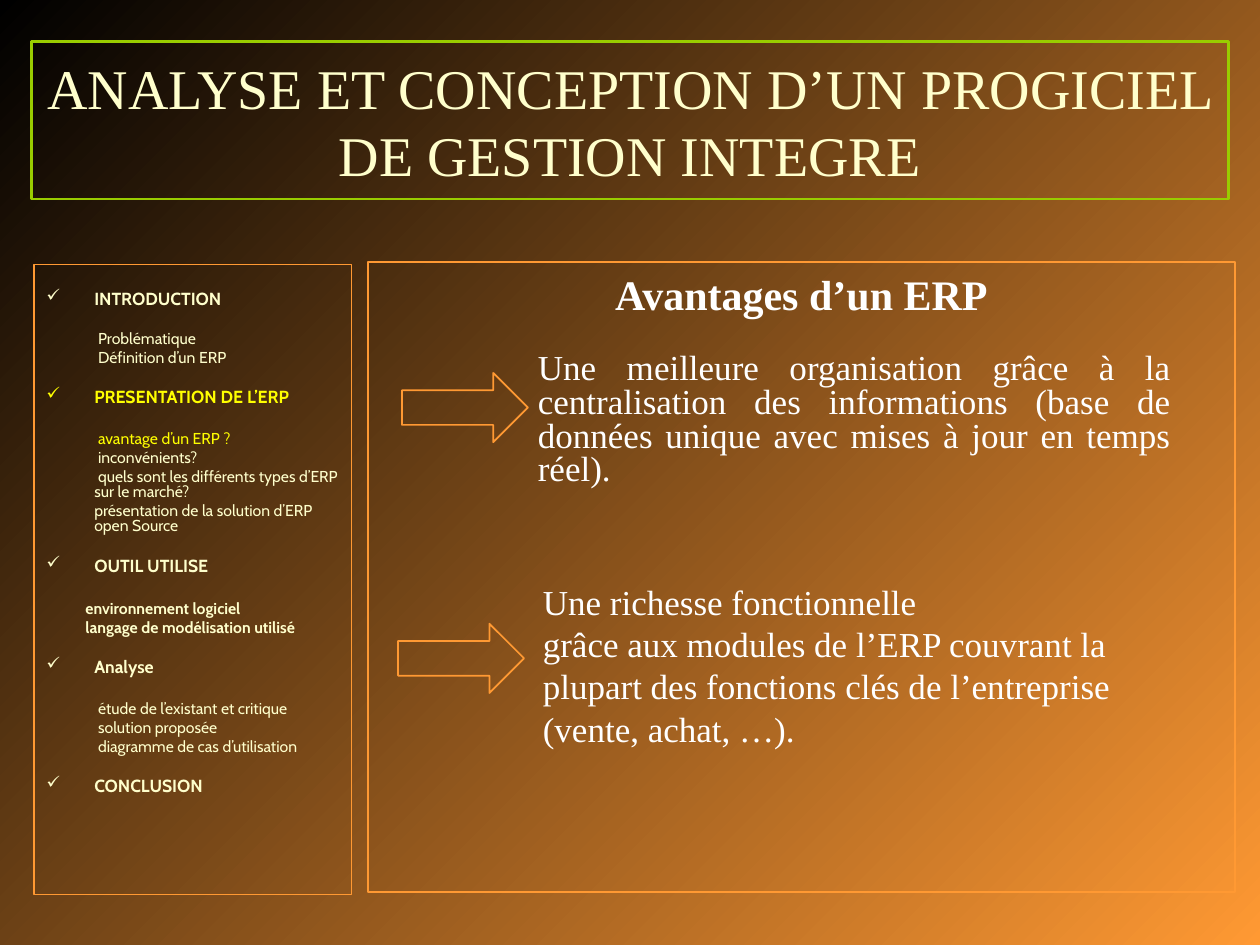
from dataclasses import dataclass
from lxml.etree import SubElement
from pptx import Presentation
from pptx.dml.color import RGBColor
from pptx.enum.shapes import MSO_SHAPE
from pptx.enum.text import MSO_ANCHOR, MSO_AUTO_SIZE, PP_ALIGN
from pptx.oxml.ns import qn
from pptx.util import Inches, Pt


@dataclass(frozen=True)
class Theme:
    black: str = "000000"
    orange: str = "FF9933"
    green: str = "99CC00"
    cream: str = "FFFFCC"
    yellow: str = "FFFF00"
    white: str = "FFFFFF"
    serif: str = "Times New Roman"
    sans: str = "Cabin"
    title: int = 32
    heading: int = 24
    body: int = 20
    chapter: int = 10
    topic: int = 9


theme = Theme()


def write(frame, text, *, size, color, font=theme.serif, bold=False,
          align=PP_ALIGN.LEFT, spacing=1.0, before=0, margin=0, indent=0, bullet=None):
    para = frame.paragraphs[0]
    if para.runs:
        para = frame.add_paragraph()
    para.alignment = align
    para.line_spacing = spacing
    para.space_before = Pt(before)
    properties = para._p.get_or_add_pPr()
    properties.set("marL", str(Inches(margin)))
    properties.set("indent", str(Inches(indent)))
    if bullet:
        bullet_color = SubElement(properties, qn("a:buClr"))
        SubElement(bullet_color, qn("a:srgbClr")).set("val", color)
        SubElement(properties, qn("a:buChar")).set("char", bullet)
    else:
        SubElement(properties, qn("a:buNone"))
    span = para.add_run()
    span.text = text
    span.font.name = font
    span.font.size = Pt(size)
    span.font.bold = bold
    span.font.color.rgb = RGBColor.from_string(color)


def add_outline(page, kind, left, top, width, height):
    shape = page.shapes.add_shape(kind, Inches(left), Inches(top), Inches(width), Inches(height))
    shape.shadow.inherit = False
    shape.fill.background()
    shape.line.color.rgb = RGBColor.from_string(theme.orange)
    shape.line.width = Pt(1)
    shape.text_frame.vertical_anchor = MSO_ANCHOR.TOP
    return shape


deck = Presentation()
deck.slide_width = Inches(10)
deck.slide_height = Inches(7.5)
page = deck.slides.add_slide(deck.slide_layouts[5])

background = page.background.fill
background.gradient()
background.gradient_angle = 315
for stop, color in zip(background.gradient_stops, (theme.black, theme.orange)):
    stop.color.rgb = RGBColor.from_string(color)

title = page.shapes.title
title.left, title.top = Inches(0.25), Inches(0.33)
title.width, title.height = Inches(9.5), Inches(1.25)
title.line.color.rgb = RGBColor.from_string(theme.green)
title.line.width = Pt(1.5)
title.text_frame.auto_size = MSO_AUTO_SIZE.NONE
title.text_frame.vertical_anchor = MSO_ANCHOR.MIDDLE
write(title.text_frame, "ANALYSE ET CONCEPTION D’UN PROGICIEL DE GESTION INTEGRE",
      size=theme.title, color=theme.cream, align=PP_ALIGN.CENTER)

menu = add_outline(page, MSO_SHAPE.RECTANGLE, 0.27, 2.1, 2.52, 5).text_frame
menu.margin_top = Inches(0.22)
plain = dict(color=theme.cream, margin=0.38, indent=0.03)
current = plain | dict(color=theme.yellow)
flush = plain | dict(indent=0)
strong = dict(color=theme.cream, margin=0.31, bold=True)
chapters = [
    ("INTRODUCTION", theme.cream, 13.2,
     [("Problématique", plain), ("Définition d’un ERP", plain)]),
    ("PRESENTATION DE L’ERP", theme.yellow, 14.5,
     [("avantage d’un ERP ?", current), ("inconvénients?", plain),
      ("quels sont les différents types d’ERP sur le marché?", plain),
      ("présentation de la solution d’ERP open Source", flush)]),
    ("OUTIL UTILISE", theme.cream, 15.2,
     [("environnement logiciel", strong), ("langage de modélisation utilisé", strong)]),
    ("Analyse", theme.cream, 14.5,
     [("étude de l’existant et critique", plain), ("solution proposée", plain),
      ("diagramme de cas d’utilisation", plain)]),
    ("CONCLUSION", theme.cream, 0, []),
]
for number, (chapter, color, gap, topics) in enumerate(chapters):
    write(menu, chapter, size=theme.chapter, color=color, font=theme.sans, bold=True,
          spacing=0.8, before=13.5 if number else 0, margin=0.38, indent=-0.38, bullet="✓")
    for position, (topic, style) in enumerate(topics):
        write(menu, topic, size=theme.topic, font=theme.sans, spacing=0.8,
              before=2.2 if position else gap, **style)

panel = add_outline(page, MSO_SHAPE.RECTANGLE, 2.92, 2.08, 6.88, 5).text_frame
write(panel, "Avantages d’un ERP", size=theme.heading, color=theme.white, bold=True,
      align=PP_ALIGN.CENTER, before=6)

advantages = [
    ((3.19, 2.96), (4.17, 2.76, 5.22, 1.51), True,
     ["Une meilleure organisation grâce à la centralisation des informations "
      "(base de données unique avec mises à jour en temps réel)."]),
    ((3.16, 4.95), (4.21, 4.62, 4.77, 1.38), False,
     ["Une richesse fonctionnelle", "grâce aux modules de l’ERP couvrant la",
      "plupart des fonctions clés de l’entreprise", "(vente, achat, …)."]),
]
for arrow_place, text_place, wraps, lines in advantages:
    add_outline(page, MSO_SHAPE.RIGHT_ARROW, *arrow_place, 1, 0.55)
    box = page.shapes.add_textbox(*map(Inches, text_place)).text_frame
    box.word_wrap = wraps
    box.auto_size = MSO_AUTO_SIZE.SHAPE_TO_FIT_TEXT
    for line in lines:
        write(box, line, size=theme.body, color=theme.white, align=PP_ALIGN.JUSTIFY,
              spacing=0.8, before=5)

deck.save("out.pptx")
